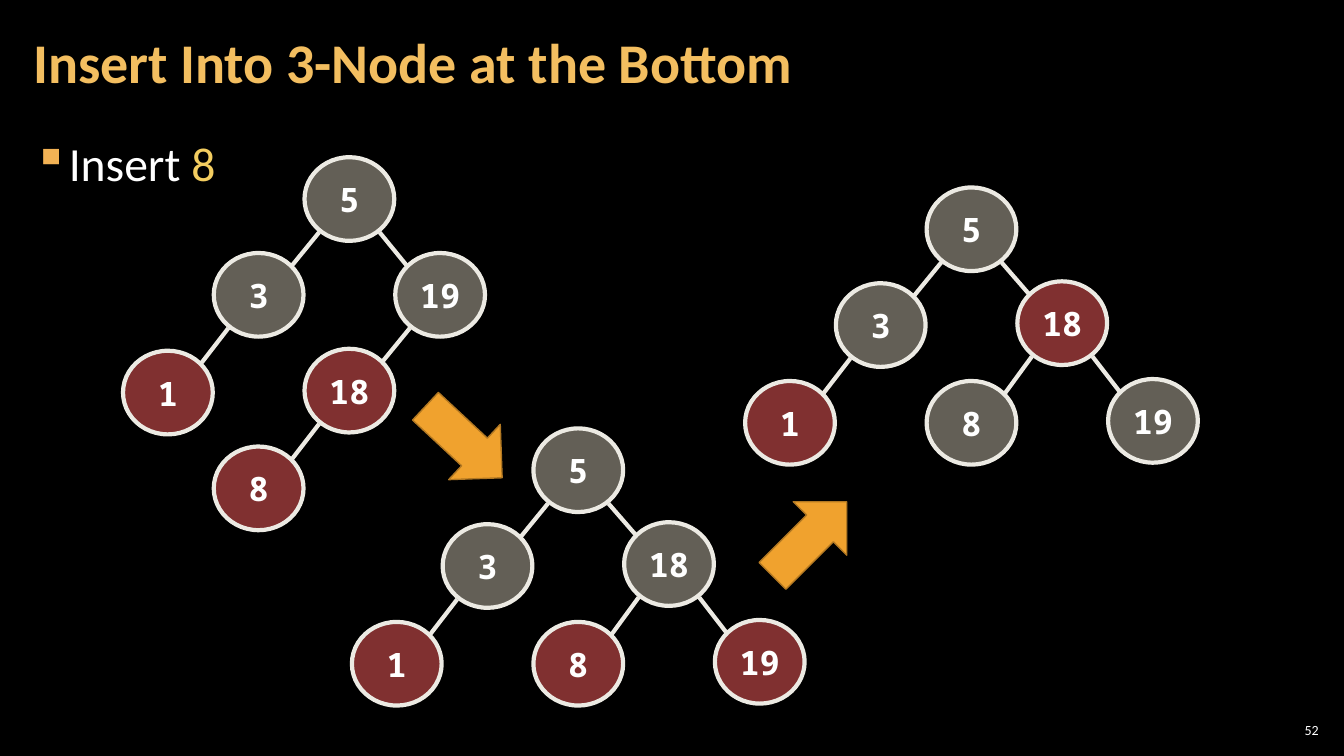
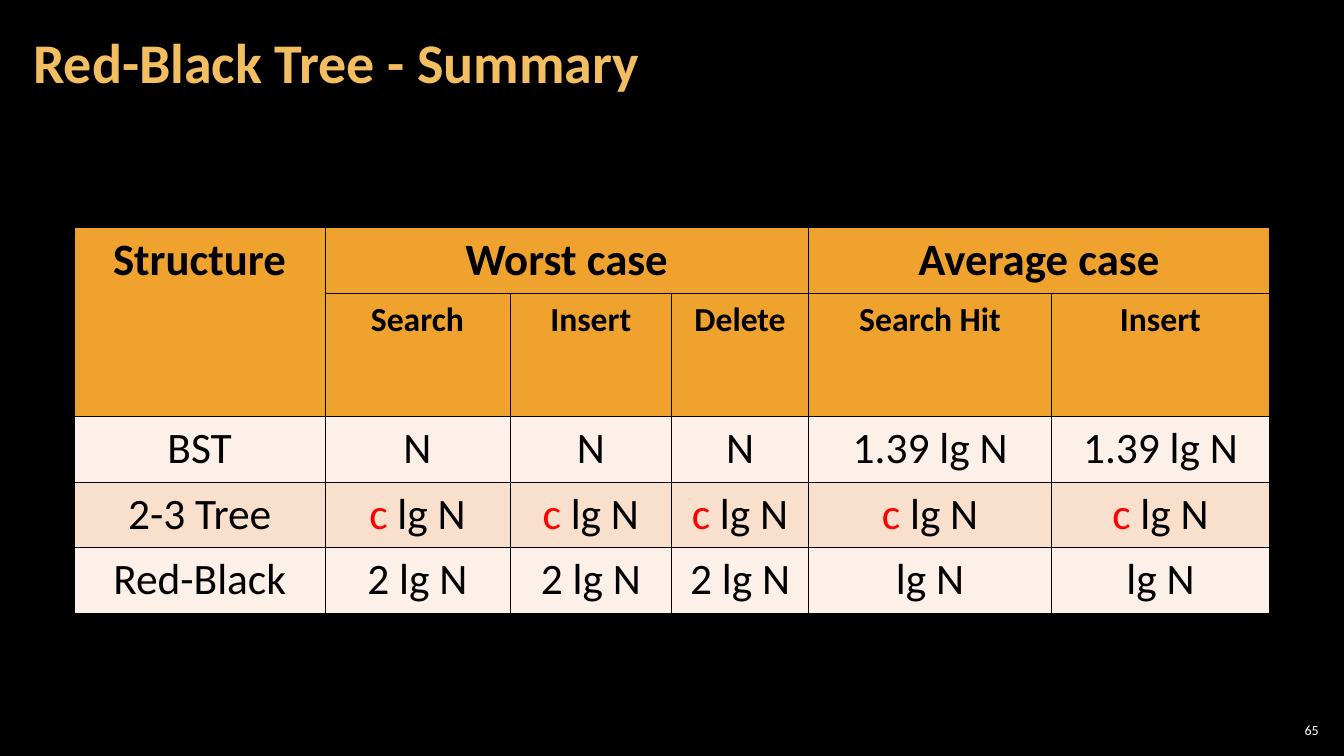
from lxml.etree import SubElement
from pptx import Presentation
from pptx.dml.color import RGBColor
from pptx.enum.shapes import MSO_CONNECTOR, MSO_SHAPE
from pptx.enum.text import MSO_ANCHOR, PP_ALIGN
from pptx.oxml import parse_xml
from pptx.oxml.ns import nsdecls, qn
from pptx.util import Inches, Pt

BLACK = RGBColor(0x00, 0x00, 0x00)
WHITE = RGBColor(0xFF, 0xFF, 0xFF)
RED = RGBColor(0xFF, 0x00, 0x00)
TITLE_GOLD = RGBColor(0xF3, 0xBE, 0x60)
BULLET_GOLD = RGBColor(0xF2, 0xB2, 0x54)
KEY_GOLD = RGBColor(0xF3, 0xCD, 0x60)
ORANGE = RGBColor(0xF0, 0xA2, 0x2E)
ARROW_EDGE = RGBColor(0xB2, 0x78, 0x22)
NODE_EDGE = RGBColor(0xEC, 0xEA, 0xE3)
NODE_BLACK = RGBColor(0xC7, 0xBF, 0xAC)
NODE_RED = RGBColor(0xFF, 0x61, 0x61)
LIGHT_BAND = RGBColor(0xFC, 0xF0, 0xE8)
DARK_BAND = RGBColor(0xF9, 0xE0, 0xCD)

TITLE_FORMAT = {"name": "Calibri", "size": Pt(40), "bold": True}
BODY_FORMAT = {"name": "Calibri", "size": Pt(34)}
NUMBER_FORMAT = {"name": "Calibri", "size": Pt(10)}
NODE_FORMAT = {"name": "Noto Sans Mono", "size": Pt(24), "bold": True}
CELL_FORMATS = [
    {"name": "Calibri", "size": Pt(32), "bold": True},
    {"name": "Calibri", "size": Pt(24), "bold": True},
] + [{"name": "Calibri", "size": Pt(31), "bold": False}] * 3


def write(frame, runs, text_format, alignment, margins=(0.12, 0.04)):
    horizontal, vertical = map(Inches, margins)
    frame.margin_left = frame.margin_right = horizontal
    frame.margin_top = frame.margin_bottom = vertical
    paragraph = frame.paragraphs[0]
    paragraph.alignment = alignment
    for text, color in runs:
        run = paragraph.add_run()
        run.text = text
        run.font.color.rgb = color
        for attribute, value in text_format.items():
            setattr(run.font, attribute, value)
    return paragraph


def add_filled_shape(slide, kind, box, fill, edge, edge_width):
    shape = slide.shapes.add_shape(kind, *map(Inches, box))
    shape.shadow.inherit = False
    shape.fill.solid()
    shape.fill.fore_color.rgb = fill
    shape.line.color.rgb = edge
    shape.line.width = Pt(edge_width)
    return shape


presentation = Presentation()
presentation.slide_width = Inches(13.33)
presentation.slide_height = Inches(7.5)
background = presentation.slide_master.background.fill
background.solid()
background.fore_color.rgb = BLACK

slides = []
for title, number in [("Insert Into 3-Node at the Bottom", "52"), ("Red-Black Tree - Summary", "65")]:
    slide = presentation.slides.add_slide(presentation.slide_layouts[6])
    slides.append(slide)
    for box, text, color, text_format, alignment, margins in [
        ((0.21, 0.04, 10.47, 1.21), title, TITLE_GOLD, TITLE_FORMAT, PP_ALIGN.LEFT, (0.12, 0.04)),
        ((12.65, 7.14, 0.47, 0.21), number, WHITE, NUMBER_FORMAT, PP_ALIGN.RIGHT, (0.04, 0.04)),
    ]:
        frame = slide.shapes.add_textbox(*map(Inches, box)).text_frame
        frame.word_wrap = True
        frame.vertical_anchor = MSO_ANCHOR.MIDDLE
        paragraph = write(frame, [(text, color)], text_format, alignment, margins)
        paragraph.line_spacing = 0.9 if text == title else 1.0

tree_slide, summary_slide = slides

frame = tree_slide.shapes.add_textbox(*map(Inches, (0.21, 1.26, 12.91, 6.09))).text_frame
frame.word_wrap = True
paragraph = write(frame, [("Insert ", WHITE), ("8", KEY_GOLD)], BODY_FORMAT, PP_ALIGN.LEFT)
for attribute, value in {"line_spacing": 1.05, "space_before": Pt(6), "space_after": Pt(6)}.items():
    setattr(paragraph, attribute, value)
properties = paragraph._p.get_or_add_pPr()
properties.set("marL", str(Inches(0.33)))
properties.set("indent", str(-Inches(0.33)))
bullet_color = SubElement(properties, qn("a:buClr"))
SubElement(bullet_color, qn("a:srgbClr"), val=str(BULLET_GOLD))
SubElement(properties, qn("a:buChar"), char="▪")

NODE_WIDTH, NODE_HEIGHT = 0.89, 0.83
COLUMN_STEP, ROW_STEP = 0.9, 0.96
PARENT_X, PARENT_Y = 0.3, 0.33
CHILD_X, CHILD_Y = 0.33, 0.29

before_split = {
    "5": (2, 0, None),
    "3": (1, 0.99, "5"),
    "19": (3, 0.99, "5"),
    "1": (0, 2, "3"),
    "18": (2, 1.98, "19"),
    "8": (1, 2.99, "18"),
}
after_rotation = {
    "5": (2, 0, None),
    "3": (1, 0.99, "5"),
    "18": (3, 0.97, "5"),
    "1": (0, 2, "3"),
    "8": (2, 2, "18"),
    "19": (4, 1.98, "18"),
}
trees = [
    (1.22, 1.56, before_split, {"1", "18", "8"}),
    (3.49, 4.25, after_rotation, {"1", "8", "19"}),
    (7.39, 1.86, after_rotation, {"1", "18"}),
]

for tree_left, tree_top, nodes, red_nodes in trees:
    centers = {}
    for label, (column, row, parent) in nodes.items():
        left = tree_left + column * COLUMN_STEP
        top = tree_top + row * ROW_STEP
        x, y = centers[label] = left + NODE_WIDTH / 2, top + NODE_HEIGHT / 2
        if parent:
            parent_x, parent_y = centers[parent]
            side = 1 if x > parent_x else -1
            ends = (parent_x + side * PARENT_X, parent_y + PARENT_Y, x - side * CHILD_X, y - CHILD_Y)
            connector = tree_slide.shapes.add_connector(MSO_CONNECTOR.STRAIGHT, *map(Inches, ends))
            connector.line.color.rgb = NODE_EDGE
            connector.line.width = Pt(3)
            SubElement(connector._element.spPr, qn("a:effectLst"))
        fill = NODE_RED if label in red_nodes else NODE_BLACK
        node = add_filled_shape(
            tree_slide, MSO_SHAPE.OVAL, (left, top, NODE_WIDTH, NODE_HEIGHT), fill, NODE_EDGE, 3
        )
        node_color = node._element.spPr.find(qn("a:solidFill")).find(qn("a:srgbClr"))
        SubElement(node_color, qn("a:alpha"), val="50000")
        node.text_frame.word_wrap = False
        node.text_frame.vertical_anchor = MSO_ANCHOR.MIDDLE
        write(node.text_frame, [(label, WHITE)], NODE_FORMAT, PP_ALIGN.CENTER)

for left, top, rotation in [(4.08, 4.01, 43), (7.51, 4.97, 315)]:
    arrow = add_filled_shape(
        tree_slide, MSO_SHAPE.RIGHT_ARROW, (left, top, 1.04, 0.75), ORANGE, ARROW_EDGE, 1
    )
    arrow.rotation = rotation

column_widths = [2.48, 1.84, 1.6, 1.36, 2.41, 2.16]
row_heights = [0.66, 1.22, 0.65, 0.65, 0.65]
row_fills = [ORANGE, ORANGE, LIGHT_BAND, DARK_BAND, LIGHT_BAND]
rows = [
    ["Structure", "Worst case", "", "", "Average case", ""],
    ["", "Search", "Insert", "Delete", "Search Hit", "Insert"],
    ["BST"] + ["N"] * 3 + ["1.39 lg N"] * 2,
    ["2-3 Tree"] + ["c lg N"] * 5,
    ["Red-Black"] + ["2 lg N"] * 3 + ["lg N"] * 2,
]
table_box = (0.74, 2.25, sum(column_widths), sum(row_heights))
table = summary_slide.shapes.add_table(len(rows), len(column_widths), *map(Inches, table_box)).table
for column, width in zip(table.columns, column_widths):
    column.width = Inches(width)
for row, height in zip(table.rows, row_heights):
    row.height = Inches(height)

for row_index, texts in enumerate(rows):
    for column_index, text in enumerate(texts):
        cell = table.cell(row_index, column_index)
        cell.fill.solid()
        cell.fill.fore_color.rgb = row_fills[row_index]
        cell_properties = cell._tc.get_or_add_tcPr()
        for position, side in enumerate("LRTB"):
            border = parse_xml(
                f'<a:ln{side} {nsdecls("a")} w="{Pt(0.25)}"><a:solidFill>'
                f'<a:srgbClr val="{BLACK}"/></a:solidFill></a:ln{side}>'
            )
            cell_properties.insert(position, border)
        cell.margin_left = cell.margin_right = Inches(0.13)
        cell.margin_top = cell.margin_bottom = Inches(0.06)
        if text:
            runs = [("c", RED), (text[1:], BLACK)] if text.startswith("c ") else [(text, BLACK)]
            write(cell.text_frame, runs, CELL_FORMATS[row_index], PP_ALIGN.CENTER, (0.13, 0.06))

for start, end in [((0, 0), (1, 0)), ((0, 1), (0, 3)), ((0, 4), (0, 5))]:
    table.cell(*start).merge(table.cell(*end))

presentation.save("out.pptx")
